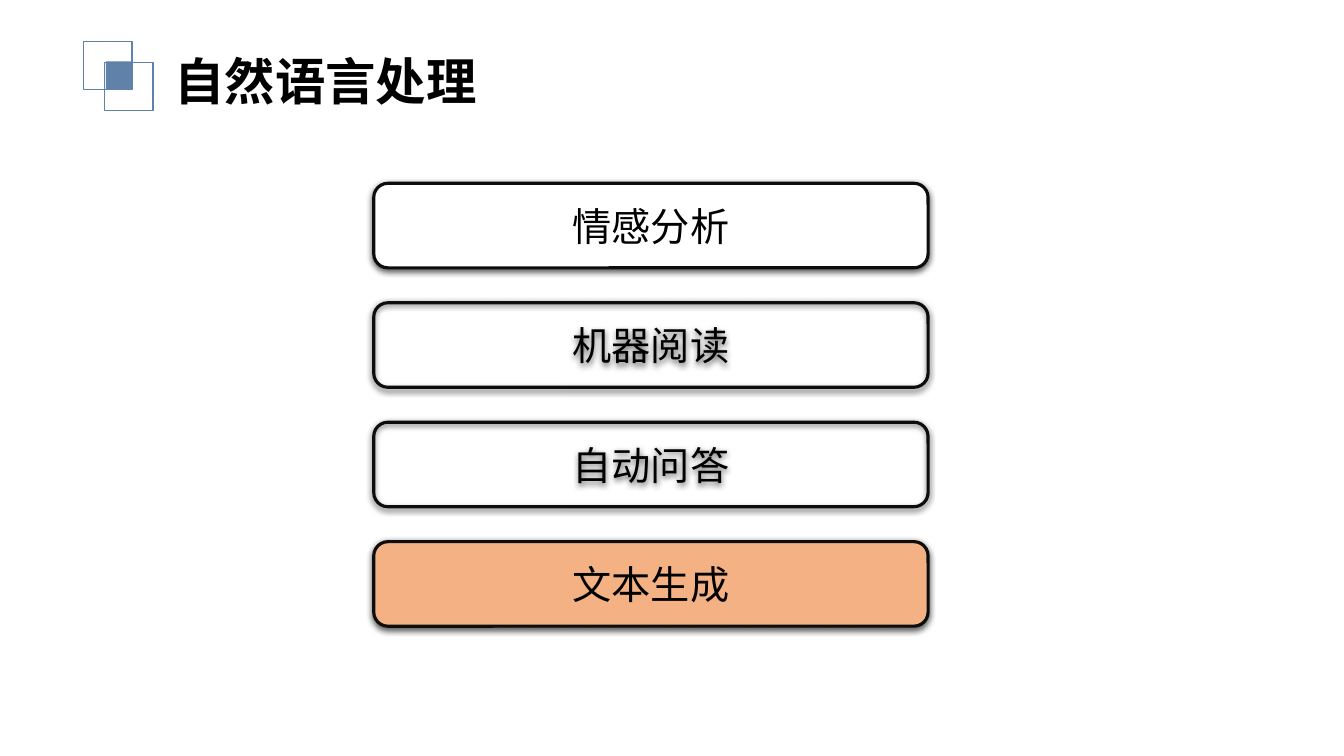
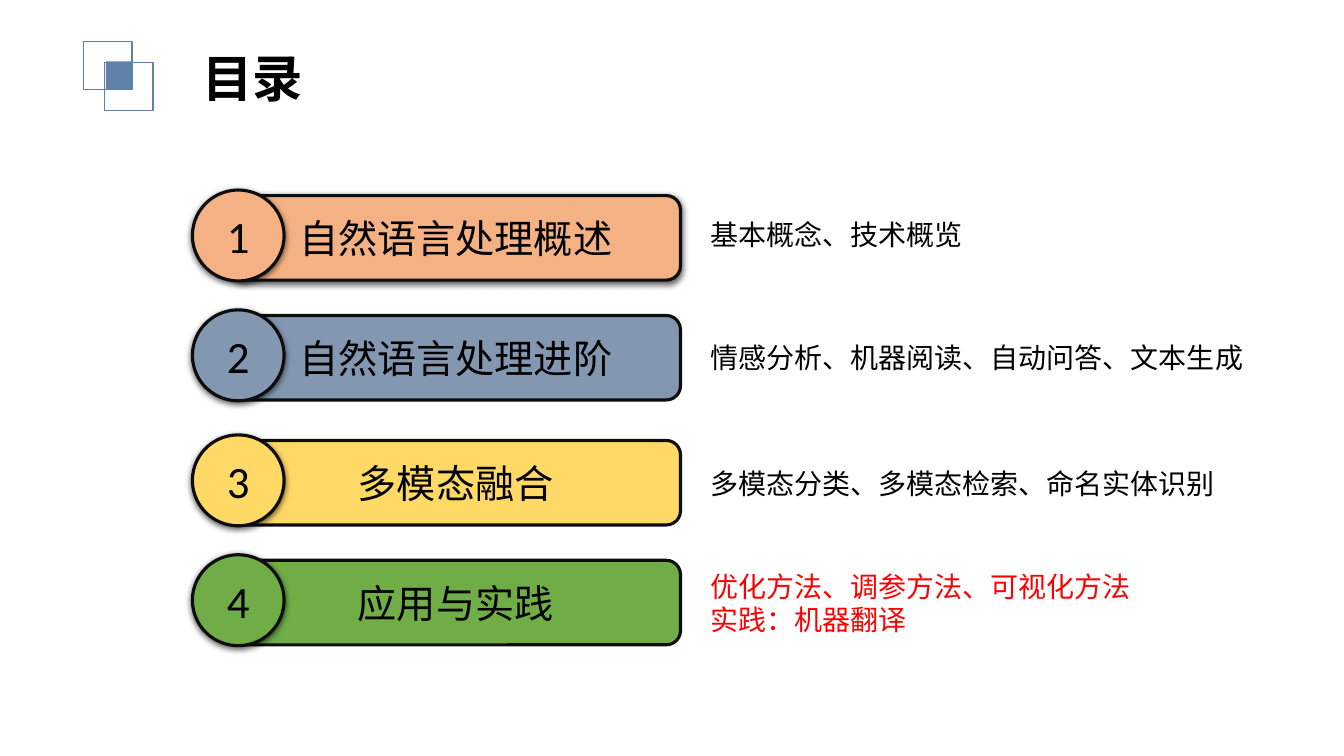
from dataclasses import dataclass

from lxml import etree
from pptx import Presentation
from pptx.dml.color import RGBColor
from pptx.enum.shapes import MSO_SHAPE
from pptx.enum.text import MSO_ANCHOR, MSO_AUTO_SIZE, PP_ALIGN
from pptx.oxml.ns import qn
from pptx.util import Cm, Pt

RECT, ROUNDED, OVAL = MSO_SHAPE.RECTANGLE, MSO_SHAPE.ROUNDED_RECTANGLE, MSO_SHAPE.OVAL
LEFT, CENTER = PP_ALIGN.LEFT, PP_ALIGN.CENTER
MIDDLE = MSO_ANCHOR.MIDDLE


@dataclass(frozen=True)
class Theme:
    cjk: str = "Noto Sans CJK SC"
    latin: str = "Calibri"
    title_pt: int = 36
    number_pt: int = 32
    bar_pt: int = 28
    note_pt: int = 20
    text: str = "000000"
    accent: str = "6082A9"
    outline: str = "0D0D0D"
    white: str = "FFFFFF"
    orange: str = "F4B183"
    blue: str = "8497B0"
    yellow: str = "FFD966"
    green: str = "70AD47"
    red: str = "FF0000"


T = Theme()


def write(tf, lines, size, font=T.cjk, color=T.text, bold=False, align=LEFT):
    """Fill a text frame with one paragraph per line."""
    tf.word_wrap = True
    for i, line in enumerate(lines):
        p = tf.paragraphs[0] if i == 0 else tf.add_paragraph()
        p.alignment = align
        r = p.add_run()
        r.text = line
        r.font.size, r.font.bold, r.font.name = Pt(size), bold, font
        r.font.color.rgb = RGBColor.from_string(color)
        # CJK glyphs take the East Asian typeface
        etree.SubElement(r._r.get_or_add_rPr(), qn("a:ea"), typeface=font)


def add_box(s, kind, at, fill=None, line=None, width=2.25, shadow=False):
    """Add a preset shape; at is left, top, width, height in cm."""
    sp = s.shapes.add_shape(kind, *map(Cm, at))
    sp.shadow.inherit = False
    if fill:
        sp.fill.solid()
        sp.fill.fore_color.rgb = RGBColor.from_string(fill)
    else:
        sp.fill.background()
    if line:
        sp.line.color.rgb = RGBColor.from_string(line)
        sp.line.width = Pt(width)
    else:
        sp.line.fill.background()
    if shadow:
        effects = sp.element.spPr.find(qn("a:effectLst"))
        outer = etree.SubElement(effects, qn("a:outerShdw"), blurRad=str(Pt(4.5)),
                                 dist=str(Pt(1.5)), dir="5400000", rotWithShape="0")
        black = etree.SubElement(outer, qn("a:srgbClr"), val="000000")
        etree.SubElement(black, qn("a:alpha"), val="63000")
    return sp


prs = Presentation()
prs.slide_width, prs.slide_height = Cm(33.87), Cm(19.05)
layout = prs.slide_layouts[5]

# Slides and titles
slides = []
for title, at in [("自然语言处理", (4.14, 1.12, 13.31, 1.8)),
                  ("目录", (4.85, 1.04, 3.23, 1.8))]:
    s = prs.slides.add_slide(layout)
    ph = s.shapes.title
    ph.left, ph.top, ph.width, ph.height = map(Cm, at)
    tf = ph.text_frame
    tf.auto_size, tf.vertical_anchor = MSO_AUTO_SIZE.NONE, MIDDLE
    write(tf, [title], T.title_pt, bold=True)
    slides.append(s)
tasks, agenda = slides

# Corner squares, moved to the layout so that both slides share them
for at, fill, line in [((2.11, 1.04, 1.22, 1.22), None, T.accent),
                       ((2.64, 1.57, 1.22, 1.22), None, T.accent),
                       ((2.67, 1.55, 0.64, 0.69), T.accent, None)]:
    square = add_box(tasks, RECT, at, fill, line, width=1)
    layout.shapes.element.append(square.element)

# Slide 1: stack of tasks
BAR_H = 2.13
for i, (task, fill) in enumerate([("情感分析", T.white), ("机器阅读", None),
                                  ("自动问答", None), ("文本生成", T.orange)]):
    bar = add_box(tasks, ROUNDED, (9.42, 4.62 + 3.01 * i, 13.97, BAR_H),
                  fill, T.outline, shadow=True)
    write(bar.text_frame, [task], T.bar_pt, align=CENTER)

# Slide 2: numbered chapters with notes
chapters = [
    (4.93, "自然语言处理概述", T.orange, 5.36, T.text, ["基本概念、技术概览"]),
    (7.95, "自然语言处理进阶", T.blue, 8.46, T.text,
     ["情感分析、机器阅读、自动问答、文本生成"]),
    (11.1, "多模态融合", T.yellow, 11.63, T.text,
     ["多模态分类、多模态检索、命名实体识别"]),
    (14.12, "应用与实践", T.green, 14.22, T.red,
     ["优化方法、调参方法、可视化方法", "实践：机器翻译"]),
]
for n, (top, name, fill, note_top, note_color, notes) in enumerate(chapters, 1):
    bar = add_box(agenda, ROUNDED, (5.82, top, 11.33, BAR_H), fill, T.outline,
                  shadow=n == 1)
    write(bar.text_frame, [name], T.bar_pt, align=CENTER)
    badge = add_box(agenda, OVAL, (4.85, top - 0.14, 2.31, 2.29), fill, T.outline,
                    shadow=True)
    write(badge.text_frame, [str(n)], T.number_pt, T.latin, align=CENTER)
    note = agenda.shapes.add_textbox(Cm(17.65), Cm(note_top), Cm(15.7),
                                     Cm(0.28 + 0.84 * len(notes)))
    write(note.text_frame, notes, T.note_pt, color=note_color)

prs.save("out.pptx")
